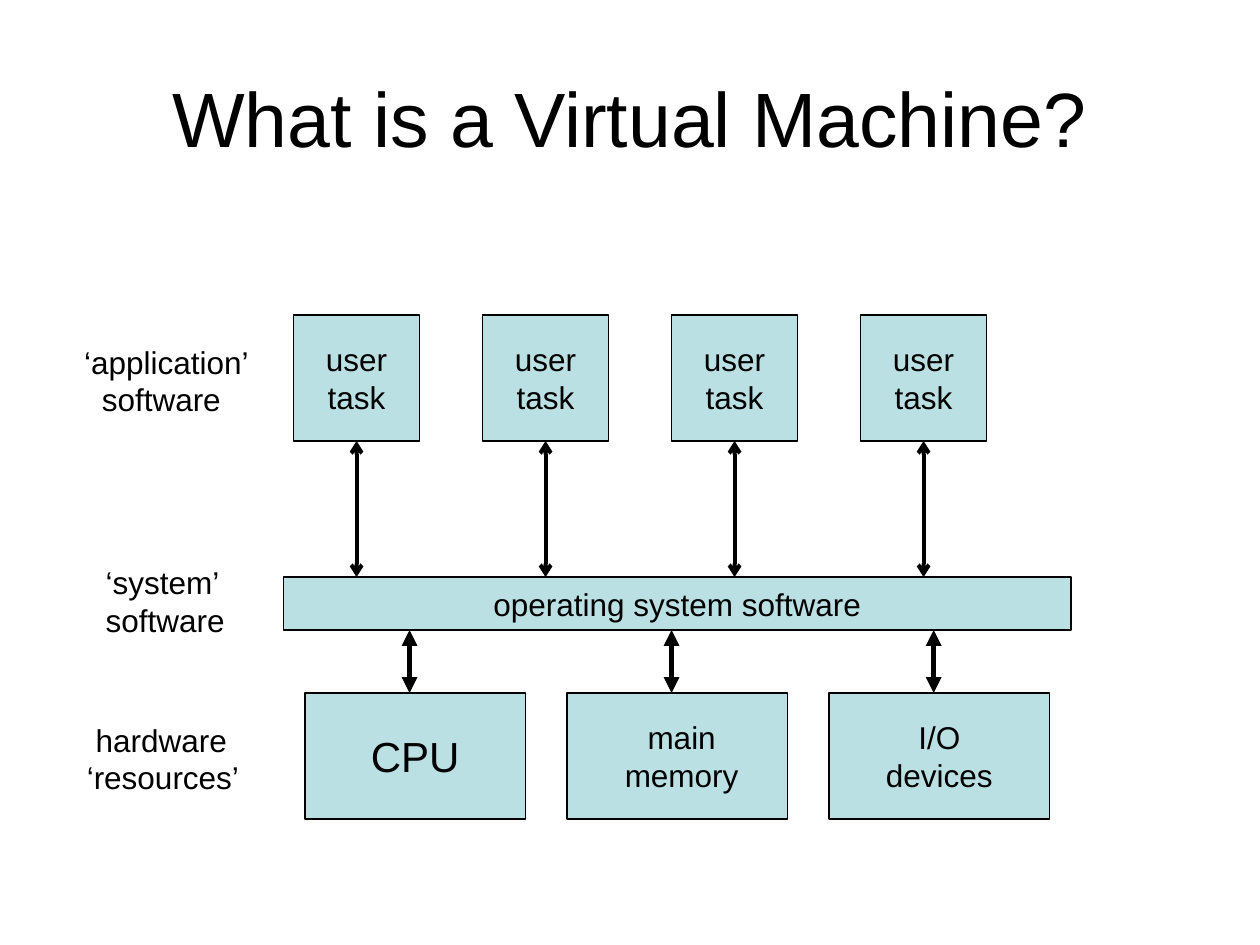
from lxml import etree
from pptx import Presentation
from pptx import util as u
from pptx.dml.color import RGBColor
from pptx.enum import shapes, text
from pptx.oxml.ns import qn

COLORS = {"ink": "000000", "box": "BBE0E3"}
FONT = "Arial"
TITLE = "What is a Virtual Machine?"
SPACE = 0.07

LABELS = [
    ((0.5, 2.67, 1.57, 0.7), [("‘application’", 1), ("software", 3)]),
    ((0.67, 4.42, 1.21, 0.7), [("‘system’", 1), ("software", 1)]),
    ((0.59, 5.67, 1.41, 0.7), [("hardware", 1), ("‘resources’", 0)]),
]
TASKS = [[("user", 0), ("task", 0)]] * 4
SYSTEM = [("operating system software", 0)]
RESOURCES = [
    ([("CPU", 0)], 24),
    ([("main", 1), ("memory", 1)], 18),
    ([("I/O", 0), ("devices", 0)], 18),
]

TASK_LEFT, TASK_TOP, TASK_SIZE, TASK_STEP = 2.33, 2.5, 1, 1.5
SYSTEM_LEFT, SYSTEM_TOP, SYSTEM_WIDTH, SYSTEM_HEIGHT = 2.25, 4.58, 6.25, 0.42
RESOURCE_LEFT, RESOURCE_TOP, RESOURCE_STEP = 2.42, 5.5, 2.08
RESOURCE_WIDTH, RESOURCE_HEIGHT, RESOURCE_ARROW = 1.75, 1, 0.83


def color(name):
    return RGBColor.from_string(COLORS[name])


def inches(values):
    return [u.Inches(value) for value in values]


def write(shape, lines, size, align, wrap=True):
    frame = shape.text_frame
    frame.word_wrap = wrap
    for index, (words, spaces) in enumerate(lines):
        para = frame.paragraphs[0] if index == 0 else frame.add_paragraph()
        para.text = words
        para.alignment = align
        para.font.name = FONT
        para.font.size = u.Pt(size)
        para.font.color.rgb = color("ink")
        if spaces:
            para._p.get_or_add_pPr().set("marL", str(u.Inches(SPACE * spaces)))
    return frame


def add_box(page, place, lines, size=18):
    box = page.shapes.add_shape(shapes.MSO_SHAPE.RECTANGLE, *inches(place))
    box.shadow.inherit = False
    box.fill.solid()
    box.fill.fore_color.rgb = color("box")
    box.line.color.rgb = color("ink")
    box.line.width = u.Pt(0.75)
    frame = write(box, lines, size, text.PP_ALIGN.CENTER, wrap=False)
    frame.vertical_anchor = text.MSO_ANCHOR.MIDDLE


def add_label(page, place, lines):
    label = page.shapes.add_textbox(*inches(place))
    frame = write(label, lines, 18, text.PP_ALIGN.LEFT)
    frame.margin_right = 0
    frame.auto_size = text.MSO_AUTO_SIZE.NONE


def add_arrow(page, x, top, bottom, width, head):
    arrow = page.shapes.add_connector(
        shapes.MSO_CONNECTOR.STRAIGHT, *inches((x, top, x, bottom)))
    arrow.line.color.rgb = color("ink")
    arrow.line.width = u.Pt(width)
    line = arrow.line._get_or_add_ln()
    for end in ("a:headEnd", "a:tailEnd"):
        etree.SubElement(line, qn(end), type=head)
    etree.SubElement(arrow._element.spPr, qn("a:effectLst"))


def add_title(page):
    title = page.shapes.title
    title.left, title.top, title.width, title.height = inches((0.5, 0.3, 9, 1.25))
    frame = write(title, [(TITLE, 0)], 44, text.PP_ALIGN.CENTER)
    frame.vertical_anchor = text.MSO_ANCHOR.MIDDLE


def main():
    deck = Presentation()
    deck.slide_width, deck.slide_height = inches((10, 7.5))
    page = deck.slides.add_slide(deck.slide_layouts[5])
    add_title(page)
    for place, lines in LABELS:
        add_label(page, place, lines)
    add_box(page, (SYSTEM_LEFT, SYSTEM_TOP, SYSTEM_WIDTH, SYSTEM_HEIGHT), SYSTEM)
    for index, lines in enumerate(TASKS):
        left = TASK_LEFT + index * TASK_STEP
        add_box(page, (left, TASK_TOP, TASK_SIZE, TASK_SIZE), lines)
        add_arrow(page, left + TASK_SIZE / 2, TASK_TOP + TASK_SIZE,
                  SYSTEM_TOP, 2.25, "arrow")
    for index, (lines, size) in enumerate(RESOURCES):
        left = RESOURCE_LEFT + index * RESOURCE_STEP
        add_box(page, (left, RESOURCE_TOP, RESOURCE_WIDTH, RESOURCE_HEIGHT), lines, size)
        add_arrow(page, left + RESOURCE_ARROW, SYSTEM_TOP + SYSTEM_HEIGHT,
                  RESOURCE_TOP, 3, "triangle")
    deck.save("out.pptx")


if __name__ == "__main__":
    main()
